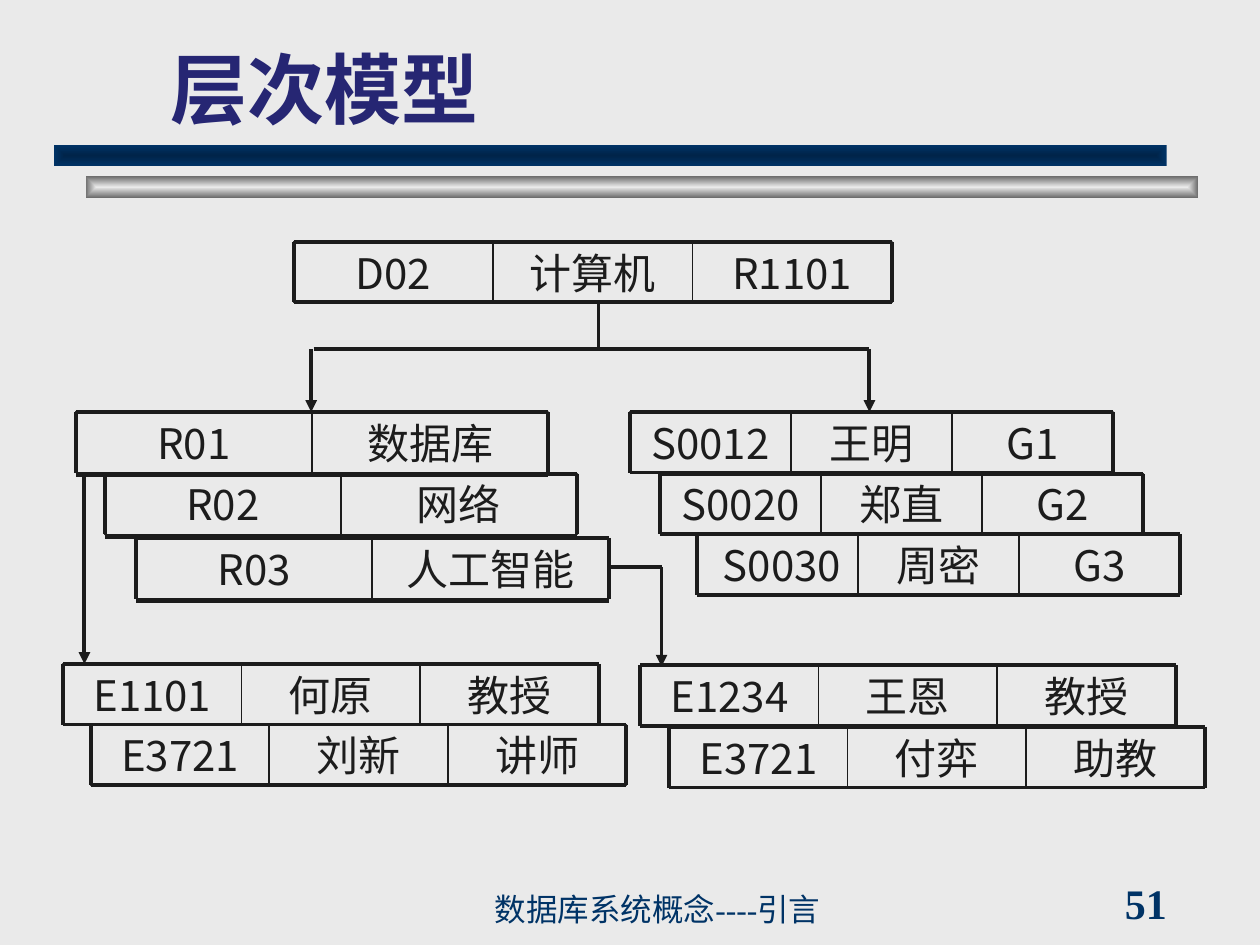
from lxml import etree
from pptx import Presentation
from pptx.dml.color import RGBColor
from pptx.enum.shapes import MSO_CONNECTOR as CONN, MSO_SHAPE as SHAPE
from pptx.enum.text import MSO_ANCHOR as ANCHOR, MSO_AUTO_SIZE as AUTOSIZE, PP_ALIGN as ALIGN
from pptx.oxml import parse_xml
from pptx.oxml.ns import qn
from pptx.util import Inches, Pt

BACKGROUND = RGBColor(0xEA, 0xEA, 0xEA)
INK = RGBColor(0x1C, 0x1C, 0x1C)
NAVY = RGBColor(0x00, 0x33, 0x66)
DARK_NAVY = RGBColor(0x00, 0x24, 0x49)
GRAY = RGBColor(0x6C, 0x6C, 0x6C)
TITLE_BLUE = RGBColor(0x26, 0x26, 0x73)
CELL_FONT, TITLE_FONT, FOOTER_FONT = "Noto Sans CJK JP", "Roboto", "Times New Roman"
ROW_H = 0.48
THICK, THIN = 2.25, 1

# Content
TITLE = "层次模型"
FOOTER = "数据库系统概念----引言"
PAGE = "51"

# Header bars: left, top, centre colour, edge colour
BARS = [(0.68, 1.4, BACKGROUND, GRAY), (0.43, 1.15, DARK_NAVY, NAVY)]

# Record stacks: cell width, offset of the bottom rule, rows of (left, top, fields)
STACKS = [
    (1.583, 0.48, [(2.33, 1.92, ["D02", "计算机", "R1101"])]),
    (1.875, 0.5, [(0.6, 3.27, ["R01", "数据库"]),
                  (0.83, 3.76, ["R02", "网络"]),
                  (1.08, 4.27, ["R03", "人工智能"])]),
    (1.278, 0.48, [(5, 3.27, ["S0012", "王明", "G1"]),
                   (5.24, 3.76, ["S0020", "郑直", "G2"]),
                   (5.53, 4.24, [" S0030", "周密", "G3"])]),
    (1.417, 0.48, [(0.5, 5.27, ["E1101", "何原", "教授"]),
                   (0.72, 5.75, ["E3721", "刘新", "讲师"])]),
    (1.417, 0.48, [(5.08, 5.28, ["E1234", "王恩", "教授"]),
                   (5.31, 5.77, ["E3721", "付弈", "助教"])]),
]

# Links between records: x1, y1, x2, y2, arrowhead
LINKS = [
    (4.75, 2.41, 4.75, 2.77, False),
    (2.49, 2.77, 6.9, 2.77, False),
    (2.47, 2.77, 2.47, 3.27, True),
    (6.9, 2.77, 6.9, 3.27, True),
    (0.67, 3.78, 0.67, 5.27, True),
    (4.83, 4.5, 5.25, 4.5, False),
    (5.25, 4.5, 5.25, 5.29, True),
]


def style_text(tf, size, font, color, bold=False):
    for r in tf.paragraphs[0].runs:
        r.font.size, r.font.name, r.font.bold = Pt(size), font, bold
        r.font.color.rgb = color


def add_bar(s, left, top, centre, edge):
    bar = s.shapes.add_shape(SHAPE.RECTANGLE, Inches(left), Inches(top), Inches(8.83), Inches(0.17))
    bar.shadow.inherit = False
    bar.line.fill.background()
    bar.fill.gradient()
    gradient = parse_xml(
        '<a:gradFill xmlns:a="http://schemas.openxmlformats.org/drawingml/2006/main" rotWithShape="1">'
        f'<a:gsLst><a:gs pos="0"><a:srgbClr val="{centre}"/></a:gs>'
        f'<a:gs pos="100000"><a:srgbClr val="{edge}"/></a:gs></a:gsLst>'
        '<a:path path="shape"><a:fillToRect l="50000" t="50000" r="50000" b="50000"/></a:path>'
        '</a:gradFill>')
    sp_pr = bar._element.spPr
    sp_pr.replace(sp_pr.find(qn("a:gradFill")), gradient)


def add_line(s, x1, y1, x2, y2, width=THICK, arrow=False):
    line = s.shapes.add_connector(CONN.STRAIGHT, Inches(x1), Inches(y1), Inches(x2), Inches(y2))
    line.line.color.rgb = INK
    line.line.width = Pt(width)
    if arrow:
        etree.SubElement(line.line._get_or_add_ln(), qn("a:tailEnd"), type="triangle")
    etree.SubElement(line._element.spPr, qn("a:effectLst"))


def add_cell(s, left, top, width, text):
    cell = s.shapes.add_shape(SHAPE.RECTANGLE, Inches(left), Inches(top), Inches(width), Inches(ROW_H))
    cell.shadow.inherit = False
    cell.fill.background()
    cell.line.color.rgb = INK
    cell.line.width = Pt(0.75)
    tf = cell.text_frame
    tf.margin_top = tf.margin_bottom = 0
    tf.vertical_anchor = ANCHOR.MIDDLE
    tf.text = text
    tf.paragraphs[0].alignment = ALIGN.CENTER
    style_text(tf, 24, CELL_FONT, INK)


def add_record(s, left, top, width, rule, fields):
    for i, field in enumerate(fields):
        add_cell(s, left + i * width, top, width, field)
    n = len(fields)
    for y in (top, top + rule):
        add_line(s, left, y, left + n * width, y)
    for i in range(n + 1):
        x = left + i * width
        add_line(s, x, top, x, top + ROW_H, THICK if i in (0, n) else THIN)


def add_label(s, left, top, width, text, size, anchor, bold=False, wrap=True):
    tf = s.shapes.add_textbox(Inches(left), Inches(top), Inches(width), Inches(0.33)).text_frame
    tf.word_wrap = wrap
    tf.vertical_anchor = anchor
    tf.text = text
    style_text(tf, size, FOOTER_FONT, NAVY, bold)


def main():
    prs = Presentation()
    prs.slide_width, prs.slide_height = Inches(10), Inches(7.5)
    s = prs.slides.add_slide(prs.slide_layouts[5])
    s.background.fill.solid()
    s.background.fill.fore_color.rgb = BACKGROUND

    # Header
    for bar in BARS:
        add_bar(s, *bar)
    title = s.shapes.title
    title.left, title.top = Inches(1.25), Inches(0.25)
    title.width, title.height = Inches(8.52), Inches(0.86)
    tf = title.text_frame
    tf.text = TITLE
    tf.auto_size = AUTOSIZE.NONE
    tf.vertical_anchor = ANCHOR.BOTTOM
    tf.paragraphs[0].alignment = ALIGN.LEFT
    style_text(tf, 44, TITLE_FONT, TITLE_BLUE, True)

    # Records and links
    for width, rule, rows in STACKS:
        for left, top, fields in rows:
            add_record(s, left, top, width, rule, fields)
    for x1, y1, x2, y2, arrow in LINKS:
        add_line(s, x1, y1, x2, y2, arrow=arrow)

    # Footer
    add_label(s, 3.83, 7.08, 4.08, FOOTER, 18, ANCHOR.BOTTOM)
    add_label(s, 8.83, 7, 1.08, PAGE, 24, ANCHOR.MIDDLE, bold=True, wrap=False)

    prs.save("out.pptx")


if __name__ == "__main__":
    main()
